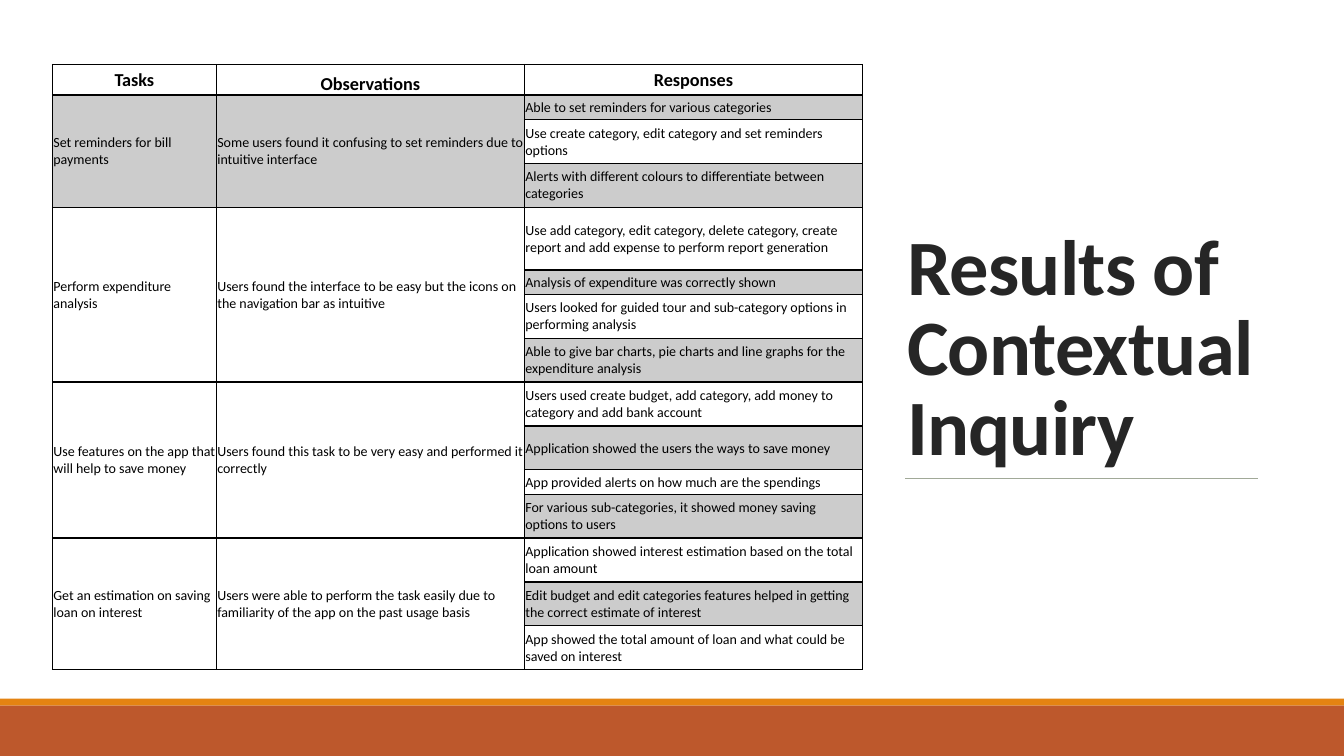
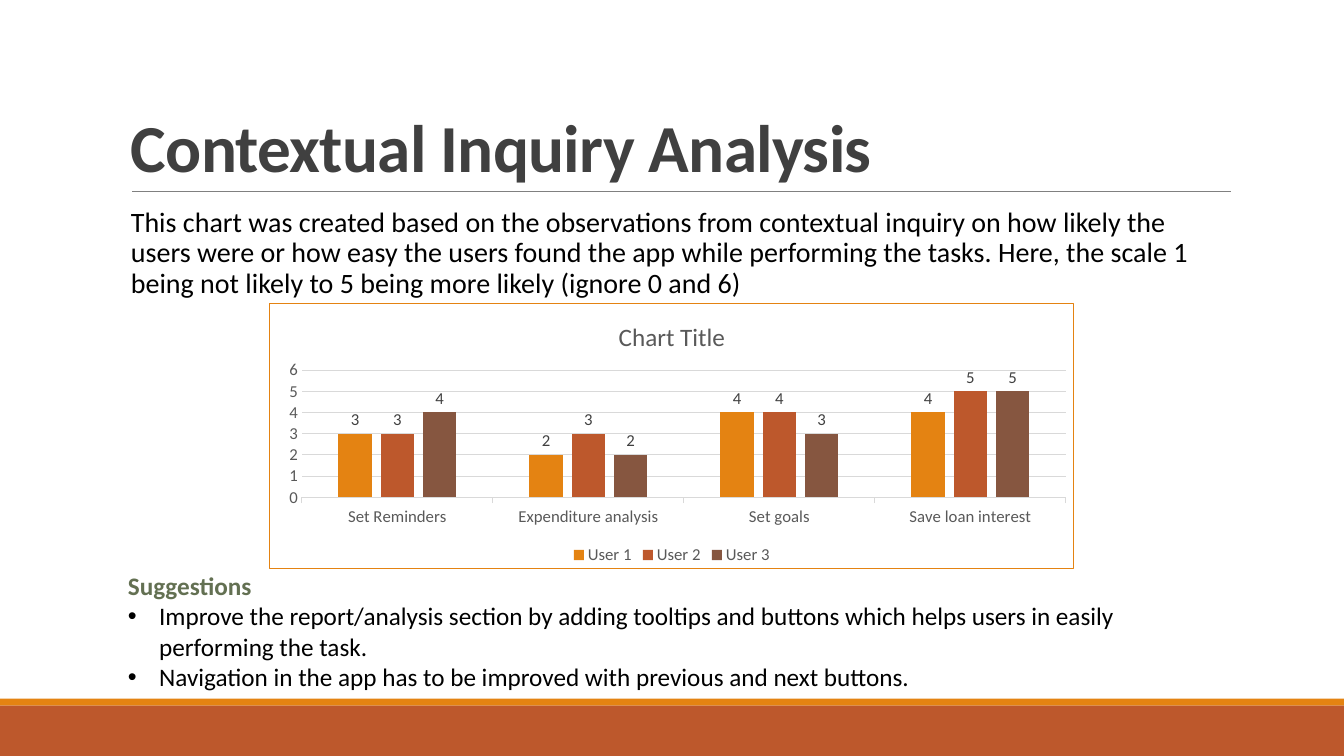
from lxml import etree
from pptx import Presentation
from pptx.chart.data import CategoryChartData
from pptx.dml.color import RGBColor
from pptx.enum.chart import XL_CHART_TYPE, XL_LABEL_POSITION, XL_LEGEND_POSITION, XL_TICK_MARK
from pptx.enum.shapes import MSO_CONNECTOR, MSO_SHAPE
from pptx.enum.text import MSO_ANCHOR, PP_ALIGN
from pptx.oxml import parse_xml
from pptx.oxml.ns import nsdecls, qn
from pptx.util import Inches, Pt

COLUMNS = XL_CHART_TYPE.COLUMN_CLUSTERED
OUTSIDE_END = XL_LABEL_POSITION.OUTSIDE_END
LEGEND_BOTTOM = XL_LEGEND_POSITION.BOTTOM
TICK_NONE, TICK_OUT = XL_TICK_MARK.NONE, XL_TICK_MARK.OUTSIDE
STRAIGHT = MSO_CONNECTOR.STRAIGHT
RECTANGLE = MSO_SHAPE.RECTANGLE
TOP, MIDDLE, BOTTOM = MSO_ANCHOR.TOP, MSO_ANCHOR.MIDDLE, MSO_ANCHOR.BOTTOM
LEFT, CENTER = PP_ALIGN.LEFT, PP_ALIGN.CENTER

SLIDE_W, SLIDE_H = Inches(13.333), Inches(7.5)
FONT = "Calibri"
COLORS = {
    "black": "000000", "ink": "262626", "title": "404040", "label": "595959",
    "rule": "808080", "grid": "D9D9D9", "shade": "CCCCCC", "olive": "637052",
    "sage": "A1A998", "orange": "E48312", "rust": "BD582C", "brown": "865640",
}

# Contextual inquiry results: task, observation, responses
HEADINGS = ("Tasks", "Observations", "Responses")
RESULTS = [
    ("Set reminders for bill payments",
     "Some users found it confusing to set reminders due to intuitive interface",
     ["Able to set reminders for various categories",
      "Use create category, edit category and set reminders options",
      "Alerts with different colours to differentiate between categories"]),
    ("Perform expenditure analysis",
     "Users found the interface to be easy but the icons on the navigation bar as intuitive",
     ["Use add category, edit category, delete category, create report and add expense "
      "to perform report generation",
      "Analysis of expenditure was correctly shown",
      "Users looked for guided tour and sub-category options in performing analysis",
      "Able to give bar charts, pie charts and line graphs for the expenditure analysis"]),
    ("Use features on the app that will help to save money",
     "Users found this task to be very easy and performed it correctly",
     ["Users used create budget, add category, add money to category and add bank account",
      "Application showed the users the ways to save money",
      "App provided alerts on how much are the spendings",
      "For various sub-categories, it showed money saving options to users"]),
    ("Get an estimation on saving loan on interest",
     "Users were able to perform the task easily due to familiarity of the app on the past "
     "usage basis",
     ["Application showed interest estimation based on the total loan amount",
      "Edit budget and edit categories features helped in getting the correct estimate of interest",
      "App showed the total amount of loan and what could be saved on interest"]),
]
COLUMN_SHARES = (12.2, 22.92, 25.15)
HEADING_ROW, ONE_LINE, TWO_LINES, TALL_ROW = 21.8, 17.4, 31.36, 44.9
ROW_POINTS = {0: HEADING_ROW, 1: ONE_LINE, 4: TALL_ROW, 5: ONE_LINE, 10: ONE_LINE}

# Ratings per task
RATED_TASKS = ("Set Reminders", "Expenditure analysis", "Set goals", "Save loan interest")
RATINGS = [
    ("User 1", (3, 2, 4, 4), "orange"),
    ("User 2", (3, 3, 4, 5), "rust"),
    ("User 3", (4, 2, 3, 5), "brown"),
]
PLOT_SHARES = {"x": 0.04, "y": 0.25, "w": 0.95, "h": 0.48}

EXPLANATION = (
    "This chart was created based on the observations from contextual inquiry on how likely the "
    "users were or how easy the users found the app while performing the tasks. Here, the scale 1 "
    "being not likely to 5 being more likely (ignore 0 and 6)")
SUGGESTIONS = (
    "Improve the report/analysis section by adding tooltips and buttons which helps users in "
    "easily performing the task.",
    "Navigation in the app has to be improved with previous and next buttons.")


# Shared helpers: lengths are percentages of the slide's size
def rgb(name):
    return RGBColor.from_string(COLORS[name])


def across(percent):
    return int(SLIDE_W * percent / 100)


def down(percent):
    return int(SLIDE_H * percent / 100)


def area(left, top, width, height):
    return across(left), down(top), across(width), down(height)


def style_font(font, size, color, bold=False):
    font.name, font.size, font.bold = FONT, Pt(size), bold
    font.color.rgb = rgb(color)


def add_run(paragraph, text, size, color, bold=False):
    run = paragraph.add_run()
    run.text = text
    style_font(run.font, size, color, bold)
    return run


def add_text_frame(slide, box, anchor=TOP):
    frame = slide.shapes.add_textbox(*area(*box)).text_frame
    frame.word_wrap = True
    frame.vertical_anchor = anchor
    return frame


def add_title(slide, box, text, size, color):
    heading = add_text_frame(slide, box, BOTTOM).paragraphs[0]
    heading.line_spacing = 0.85
    run = add_run(heading, text, size, color, bold=True)
    run.font._element.set("spc", "-50")


def add_rule(slide, start, end, height, color):
    rule = slide.shapes.add_connector(
        STRAIGHT, across(start), down(height), across(end), down(height))
    rule.line.color.rgb = rgb(color)
    rule.line.width = Pt(0.5)
    etree.SubElement(rule._element.spPr, qn("a:effectLst"))


def add_bands(slide):
    for top, height, color in ((92.4, 0.93, "orange"), (93.33, 6.67, "rust")):
        band = slide.shapes.add_shape(RECTANGLE, *area(0, top, 100, height))
        band.shadow.inherit = False
        band.fill.solid()
        band.fill.fore_color.rgb = rgb(color)
        band.line.fill.background()


def new_slide(deck):
    slide = deck.slides.add_slide(deck.slide_layouts[6])
    add_bands(slide)
    return slide


# Table
def line_xml(tag, points, color):
    return parse_xml(
        f'<{tag} {nsdecls("a")} w="{Pt(points)}"><a:solidFill>'
        f'<a:srgbClr val="{COLORS[color]}"/></a:solidFill></{tag}>')


def style_cell(cell, shaded, heading):
    cell.margin_left = cell.margin_right = cell.margin_top = Inches(0.01)
    cell.margin_bottom = 0
    cell.vertical_anchor = MIDDLE
    properties = cell._tc.get_or_add_tcPr()
    for side in "LRTB":
        width = 2 if heading and side == "B" else 1
        properties.append(line_xml(f"a:ln{side}", width, "black"))
    if shaded:
        cell.fill.solid()
        cell.fill.fore_color.rgb = rgb("shade")
    else:
        cell.fill.background()


def write_cell(cell, text, size=10, align=LEFT, bold=False):
    paragraph = cell.text_frame.paragraphs[0]
    paragraph.alignment = align
    add_run(paragraph, text, size, "black", bold)


def add_results_table(slide):
    row_count = 1 + sum(len(responses) for _, _, responses in RESULTS)
    heights = [Pt(ROW_POINTS.get(row, TWO_LINES)) for row in range(row_count)]
    table = slide.shapes.add_table(
        row_count, len(HEADINGS), across(3.9), down(8.53),
        across(sum(COLUMN_SHARES)), sum(heights)).table
    table.first_row = table.horz_banding = False
    for column, share in zip(table.columns, COLUMN_SHARES):
        column.width = across(share)
    for row, height in enumerate(heights):
        table.rows[row].height = height
        for cell in table.rows[row].cells:
            style_cell(cell, shaded=row % 2 == 1, heading=row == 0)

    for column, heading in enumerate(HEADINGS):
        write_cell(table.cell(0, column), heading, 13, CENTER, bold=True)
    table.cell(0, 1).vertical_anchor = BOTTOM

    first = 1
    for task, observation, responses in RESULTS:
        last = first + len(responses) - 1
        for column, text in enumerate((task, observation)):
            table.cell(first, column).merge(table.cell(last, column))
            write_cell(table.cell(first, column), text)
        for row, response in enumerate(responses, first):
            write_cell(table.cell(row, 2), response)
        first = last + 1


# Chart
def style_chart_frame(chart):
    border = parse_xml(f'<c:spPr {nsdecls("c", "a")}><a:noFill/></c:spPr>')
    border.append(line_xml("a:ln", 0.75, "orange"))
    chart._chartSpace.find(qn("c:chart")).addnext(border)
    plot_area = chart._chartSpace.find(".//" + qn("c:plotArea"))
    for old in plot_area.findall(qn("c:layout")):
        plot_area.remove(old)
    places = "".join(f'<c:{key}Mode val="edge"/>' for key in "xy")
    places += "".join(f'<c:{key} val="{share}"/>' for key, share in PLOT_SHARES.items())
    plot_area.insert(0, parse_xml(
        f'<c:layout {nsdecls("c")}><c:manualLayout><c:layoutTarget val="inner"/>'
        f'{places}</c:manualLayout></c:layout>'))


def style_axes(chart):
    tasks, scale = chart.category_axis, chart.value_axis
    for axis in (tasks, scale):
        style_font(axis.tick_labels.font, 12, "label")
    tasks.major_tick_mark = TICK_OUT
    scale.major_tick_mark = TICK_NONE
    scale.minimum_scale, scale.maximum_scale, scale.major_unit = 0, 6, 1
    scale.format.line.fill.background()
    for line in (tasks.format.line, scale.major_gridlines.format.line):
        line.color.rgb = rgb("grid")
        line.width = Pt(0.75)


def add_ratings_chart(slide):
    ratings = CategoryChartData()
    ratings.categories = RATED_TASKS
    for user, values, _ in RATINGS:
        ratings.add_series(user, values)
    chart = slide.shapes.add_chart(COLUMNS, *area(20.03, 40.13, 59.92, 35.2), ratings).chart
    style_font(chart.font, 10, "black")
    style_chart_frame(chart)
    style_axes(chart)
    chart.has_title = True
    add_run(chart.chart_title.text_frame.paragraphs[0], "Chart Title", 18, "label")
    chart.chart_title.include_in_layout = False
    chart.has_legend = True
    chart.legend.position = LEGEND_BOTTOM
    chart.legend.include_in_layout = False
    style_font(chart.legend.font, 12, "label")

    plot = chart.plots[0]
    plot.gap_width, plot.overlap, plot.vary_by_categories = 219, -27, False
    for bars, (_, _, color) in zip(plot.series, RATINGS):
        bars.format.fill.solid()
        bars.format.fill.fore_color.rgb = rgb(color)
        labels = bars.data_labels
        labels.show_value, labels.position = True, OUTSIDE_END
        style_font(labels.font, 12, "title")


# Texts around the chart
def add_explanation(slide):
    frame = add_text_frame(slide, (9, 26.93, 82.5, 13.3))
    frame.margin_right = 0
    frame.paragraphs[0].line_spacing = 0.9
    add_run(frame.paragraphs[0], EXPLANATION, 20, "black")


def add_suggestions(slide):
    frame = add_text_frame(slide, (8.78, 74.8, 82.5, 21.6))
    add_run(frame.paragraphs[0], "Suggestions", 18, "olive", bold=True)
    for suggestion in SUGGESTIONS:
        item = frame.add_paragraph()
        properties = item._p.get_or_add_pPr()
        properties.set("marL", str(Inches(0.31)))
        properties.set("indent", str(-Inches(0.31)))
        etree.SubElement(properties, qn("a:buFont")).set("typeface", "Arial")
        etree.SubElement(properties, qn("a:buChar")).set("char", "•")
        add_run(item, suggestion, 18, "black")


def main():
    deck = Presentation()
    deck.slide_width, deck.slide_height = SLIDE_W, SLIDE_H

    # Results table
    results = new_slide(deck)
    add_title(results, (66.75, 9.33, 27.9, 53.73), "Results of Contextual Inquiry", 56, "ink")
    add_rule(results, 67.35, 93.6, 63.33, "sage")
    add_results_table(results)

    # Ratings chart and suggestions
    analysis = new_slide(deck)
    add_rule(analysis, 9.83, 91.6, 25.33, "rule")
    add_title(analysis, (9, 4.13, 82.5, 21.2), "Contextual Inquiry Analysis", 48, "title")
    add_explanation(analysis)
    add_ratings_chart(analysis)
    add_suggestions(analysis)

    deck.save("out.pptx")


if __name__ == "__main__":
    main()
